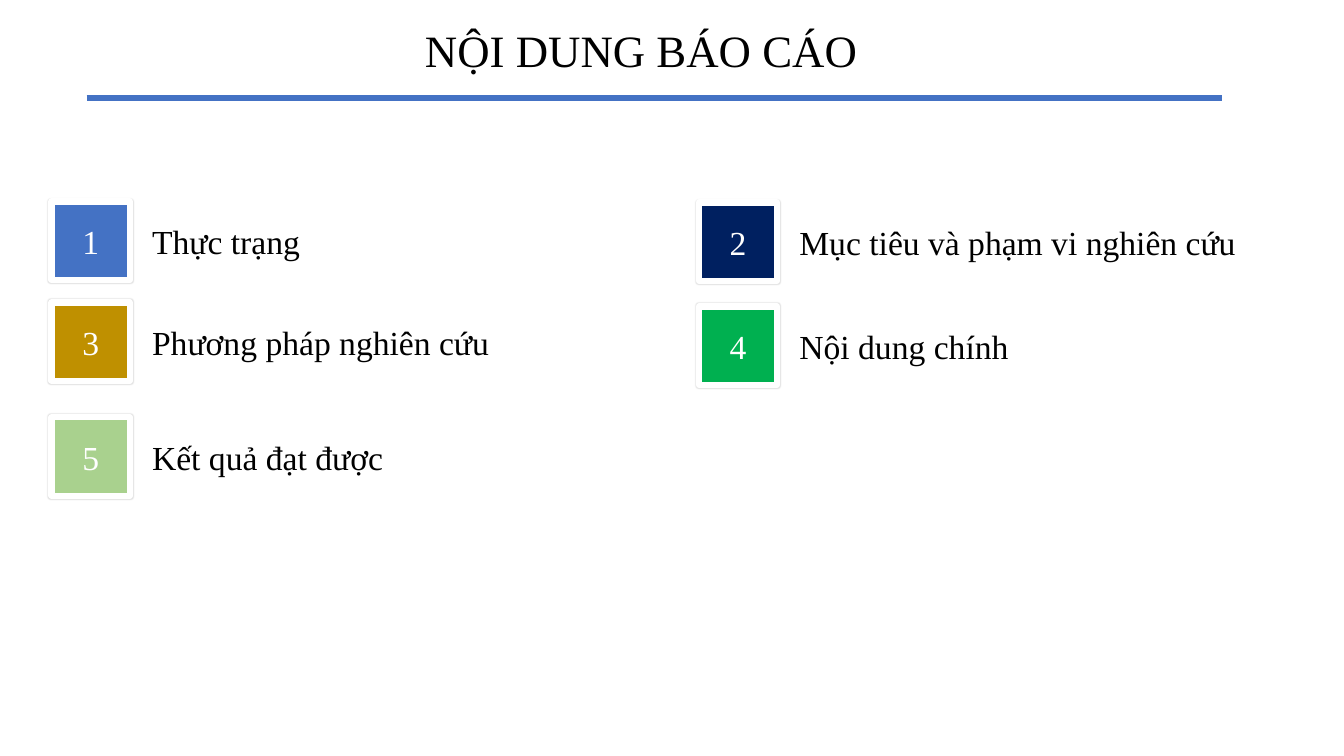
from lxml import etree
from pptx import Presentation
from pptx.dml.color import RGBColor as RGB
from pptx.enum.shapes import MSO_CONNECTOR as CONN, MSO_SHAPE as SHAPE
from pptx.enum.text import MSO_ANCHOR as ANCHOR, PP_ALIGN as ALIGN
from pptx.oxml import parse_xml
from pptx.oxml.ns import nsdecls, qn
from pptx.util import Inches, Pt

COLORS = {"black": "000000", "white": "FFFFFF", "blue": "4472C4", "navy": "002060",
          "gold": "BF9000", "green": "00B050", "lime": "A9D18E"}
FONT = "Times New Roman"
SIDE = 0.78          # number square and row height
LABEL_DX = 0.9       # from square to label
COLUMNS = [0.51, 6.93]
ROWS = [[2, 3, 4.14], [2.01, 3.04]]   # row tops of each column

ITEMS = [("Thực trạng", "blue"), ("Mục tiêu và phạm vi nghiên cứu", "navy"),
         ("Phương pháp nghiên cứu", "gold"), ("Nội dung chính", "green"),
         ("Kết quả đạt được", "lime")]


def color(name):
    return RGB.from_string(COLORS[name])


def write(s, text, size, name, align):
    tf = s.text_frame
    tf.word_wrap = True
    tf.vertical_anchor = ANCHOR.MIDDLE
    tf.text = text
    p = tf.paragraphs[0]
    p.alignment = align
    font = p.runs[0].font
    font.name, font.size = FONT, Pt(size)
    font.color.rgb = color(name)
    return p


prs = Presentation()
prs.slide_width, prs.slide_height = Inches(13.33), Inches(7.5)
slide = prs.slides.add_slide(prs.slide_layouts[5])

# Title
title = slide.shapes.title
title.left, title.top = Inches(0.86), Inches(0.09)
title.width, title.height = Inches(11), Inches(0.88)
p = write(title, "NỘI DUNG BÁO CÁO", 32, "black", ALIGN.CENTER)
p.line_spacing = 0.9

# Rule under the title
rule = slide.shapes.add_connector(CONN.STRAIGHT, Inches(0.86), Inches(0.97),
                                  Inches(12.12), Inches(0.97))
rule.line.color.rgb = color("blue")
rule.line.width = Pt(4.5)
etree.SubElement(rule._element.spPr, qn("a:effectLst"))

# Numbered items, filled row by row
for i, (text, fill) in enumerate(ITEMS):
    row, col = divmod(i, len(COLUMNS))
    x, y = COLUMNS[col], ROWS[col][row]

    label = slide.shapes.add_textbox(Inches(x + LABEL_DX), Inches(y), Inches(5.39), Inches(SIDE))
    write(label, text, 24, "black", ALIGN.LEFT)

    square = slide.shapes.add_shape(SHAPE.RECTANGLE, Inches(x), Inches(y),
                                    Inches(SIDE), Inches(SIDE))
    square.fill.solid()
    square.fill.fore_color.rgb = color(fill)
    square.line.color.rgb = color("white")
    square.line.width = Pt(4.5)
    write(square, str(i + 1), 24, "white", ALIGN.CENTER)

    # Thin soft shadow around the white frame
    square.shadow.inherit = False
    effects = square._element.spPr.find(qn("a:effectLst"))
    effects.append(parse_xml(
        f'<a:outerShdw {nsdecls("a")} blurRad="{Pt(1)}" dist="0" dir="0" algn="ctr" rotWithShape="0">'
        f'<a:srgbClr val="{COLORS["black"]}"><a:alpha val="15000"/></a:srgbClr></a:outerShdw>'))

prs.save("out.pptx")
